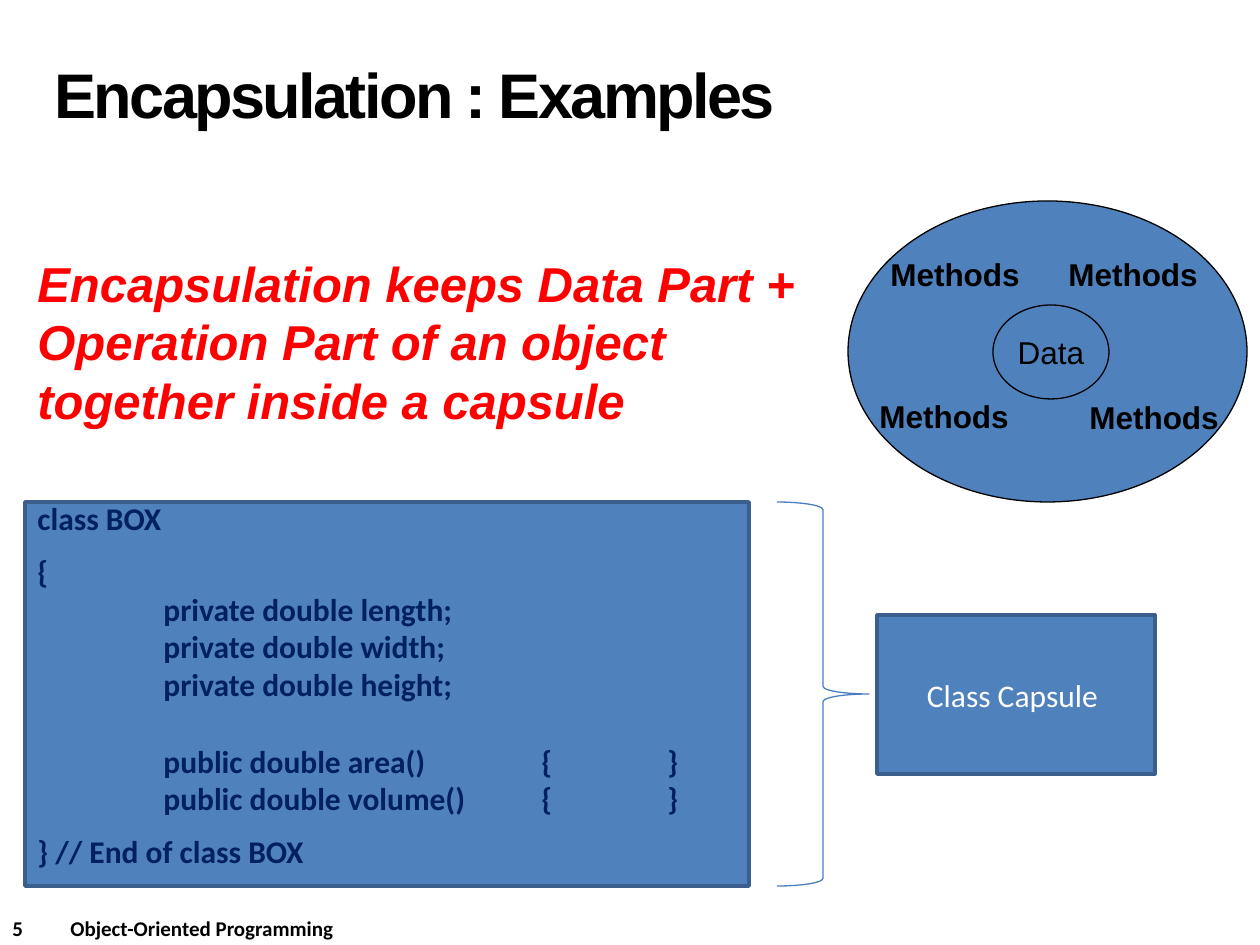
"""Build the slide on encapsulation with its capsule diagram and class listing."""
from dataclasses import dataclass

from lxml import etree
from pptx import Presentation
from pptx.dml.color import RGBColor
from pptx.enum.shapes import MSO_SHAPE
from pptx.enum.text import MSO_ANCHOR, MSO_AUTO_SIZE, PP_ALIGN
from pptx.oxml.ns import qn
from pptx.util import Emu, Pt

RECTANGLE = MSO_SHAPE.RECTANGLE
OVAL = MSO_SHAPE.OVAL
RIGHT_BRACE = MSO_SHAPE.RIGHT_BRACE
MIDDLE = MSO_ANCHOR.MIDDLE
NO_AUTOFIT = MSO_AUTO_SIZE.NONE
LEFT = PP_ALIGN.LEFT
CENTER = PP_ALIGN.CENTER

PX_PER_INCH = 126
EMU_PER_PX = 914400 / PX_PER_INCH
TITLE_ONLY_LAYOUT = 5


@dataclass(frozen=True)
class Theme:
    """Colours, fonts and type sizes of the slide."""
    black: str = "000000"
    white: str = "FFFFFF"
    red: str = "FF0000"
    navy: str = "002060"
    fill: str = "4F81BD"
    border: str = "3A5F8C"
    brace: str = "4B7EBC"
    heading_font: str = "Arial"
    body_font: str = "Calibri"
    title_size: int = 36
    statement_size: int = 28
    text_size: int = 18
    footer_size: int = 12
    thin: float = 0.75
    thick: float = 2


def px(length):
    """Turn pixels into EMU."""
    return Emu(round(length * EMU_PER_PX))


class SlideBuilder:
    """Hold the theme and the current slide, and draw each kind of element."""

    def __init__(self, slide, theme):
        """Start drawing straight onto the slide."""
        self.slide = slide
        self.theme = theme
        self.canvas = slide.shapes

    def start_group(self):
        """Send the following elements to a new group."""
        self.canvas = self.slide.shapes.add_group_shape().shapes

    def end_group(self):
        """Send the following elements to the slide again."""
        self.canvas = self.slide.shapes

    def style(self, paragraph, size, color, font=None, bold=True, italic=False):
        """Format a whole paragraph."""
        paragraph.font.name = font or self.theme.heading_font
        paragraph.font.size = Pt(size)
        paragraph.font.bold = bold
        paragraph.font.italic = italic
        paragraph.font.color.rgb = RGBColor.from_string(color)

    def title(self, text, left, top, width, height):
        """Place and format the title placeholder."""
        title = self.slide.shapes.title
        title.left, title.top, title.width, title.height = map(px, (left, top, width, height))
        frame = title.text_frame
        frame.text = text
        frame.auto_size = NO_AUTOFIT
        frame.vertical_anchor = MIDDLE
        paragraph = frame.paragraphs[0]
        paragraph.alignment = LEFT
        paragraph.line_spacing = Pt(self.theme.title_size)
        self.style(paragraph, self.theme.title_size, self.theme.black)
        paragraph.font._element.set("spc", "-150")

    def text(self, lines, left, top, width, height, tabs=(), gaps=None, **style):
        """Add a text box with one paragraph per line and gaps in points above some."""
        box = self.canvas.add_textbox(*map(px, (left, top, width, height)))
        frame = box.text_frame
        frame.word_wrap = True
        frame.text = "\n".join(lines)
        for index, paragraph in enumerate(frame.paragraphs):
            if gaps and index in gaps:
                paragraph.space_before = Pt(gaps[index])
            if tabs:
                stops = etree.SubElement(paragraph._p.get_or_add_pPr(), qn("a:tabLst"))
                for tab in tabs:
                    etree.SubElement(stops, qn("a:tab"), pos=str(px(tab)), algn="l")
            self.style(paragraph, **style)

    def shape(self, kind, left, top, width, height, border, weight, filled=True):
        """Add a preset shape and return it."""
        shape = self.canvas.add_shape(kind, *map(px, (left, top, width, height)))
        shape.shadow.inherit = False
        if filled:
            shape.fill.solid()
            shape.fill.fore_color.rgb = RGBColor.from_string(self.theme.fill)
        else:
            shape.fill.background()
        shape.line.color.rgb = RGBColor.from_string(border)
        shape.line.width = Pt(weight)
        return shape

    def label(self, shape, text, wrap=True, **style):
        """Write centred text inside a shape."""
        frame = shape.text_frame
        frame.text = text
        frame.word_wrap = wrap
        frame.vertical_anchor = MIDDLE
        paragraph = frame.paragraphs[0]
        paragraph.alignment = CENTER
        self.style(paragraph, size=self.theme.text_size, bold=False, **style)


def main():
    """Build and save the presentation."""
    theme = Theme()
    presentation = Presentation()
    presentation.slide_width, presentation.slide_height = px(1260), px(945)
    layout = presentation.slide_layouts[TITLE_ONLY_LAYOUT]
    builder = SlideBuilder(presentation.slides.add_slide(layout), theme)

    builder.text(["5\tObject-Oriented Programming"], 0, 909, 630, 38, tabs=(58,),
                 size=theme.footer_size, color=theme.black, font=theme.body_font)
    builder.shape(RECTANGLE, 25, 502, 724, 384, theme.border, theme.thick)
    builder.title("Encapsulation : Examples", 42, 21, 872, 158)

    builder.start_group()
    builder.shape(OVAL, 848, 201, 399, 301, theme.black, theme.thin)
    data = builder.shape(OVAL, 993, 305, 116, 94, theme.black, theme.thin)
    builder.label(data, "Data", wrap=False, color=theme.black)
    for left, top in ((878, 249), (1056, 249), (867, 391), (1077, 392)):
        builder.text(["Methods"], left, top, 158, 45, size=theme.text_size, color=theme.black)
    builder.end_group()

    statement = "Encapsulation keeps Data Part + Operation Part of an object together inside a capsule"
    builder.text([statement], 25, 247, 789, 190,
                 size=theme.statement_size, color=theme.red, italic=True)

    class_listing = [
        "class BOX",
        "{",
        "\tprivate double length;",
        "\tprivate double width;",
        "\tprivate double height;",
        "\tpublic double area() \t{\t}",
        "\tpublic double volume() \t{\t}",
        "} // End of class BOX",
    ]
    builder.text(class_listing, 25, 493, 684, 394, tabs=(126, 504, 630),
                 gaps={1: 8.5, 5: 22, 7: 8.5},
                 size=theme.text_size, color=theme.navy, font=theme.body_font)

    builder.shape(RIGHT_BRACE, 777, 502, 92, 384, theme.brace, theme.thin, filled=False)
    capsule = builder.shape(RECTANGLE, 877, 615, 278, 159, theme.border, theme.thick)
    builder.label(capsule, "Class Capsule ", color=theme.white, font=theme.body_font)

    presentation.save("out.pptx")


if __name__ == "__main__":
    main()
